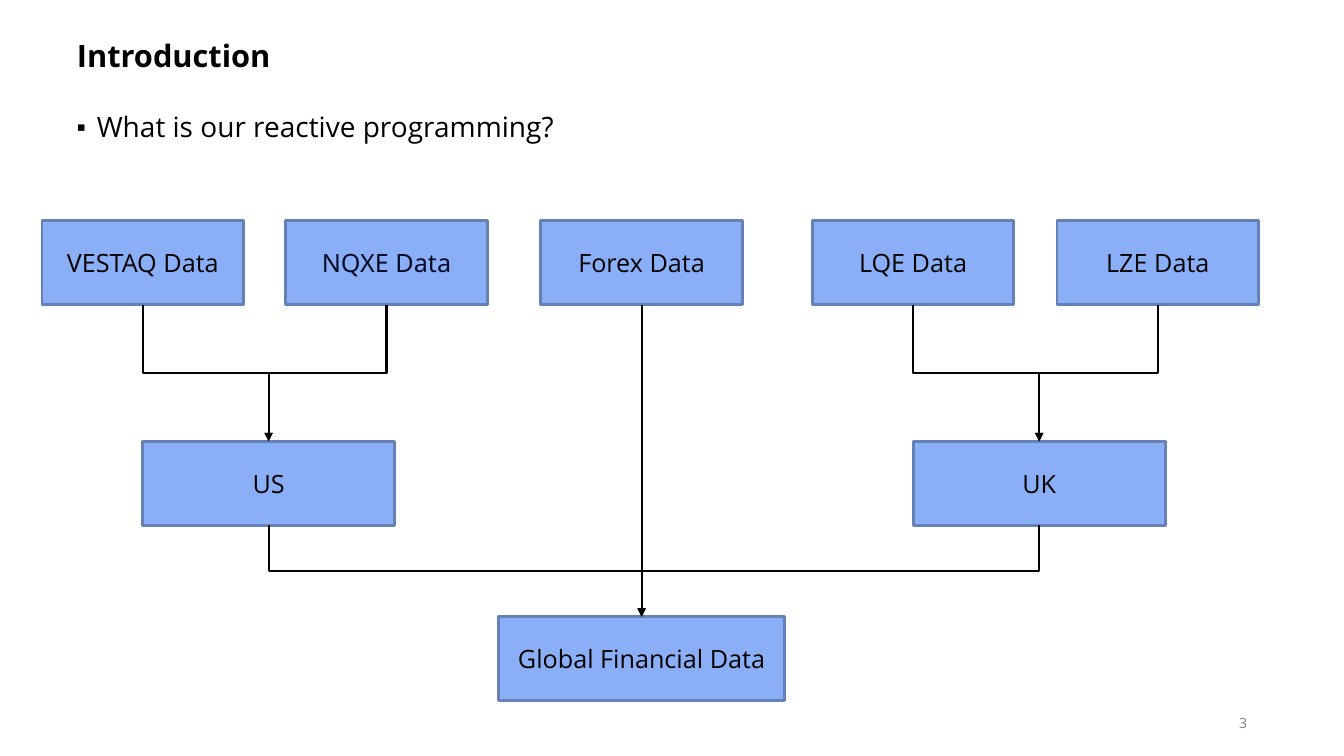
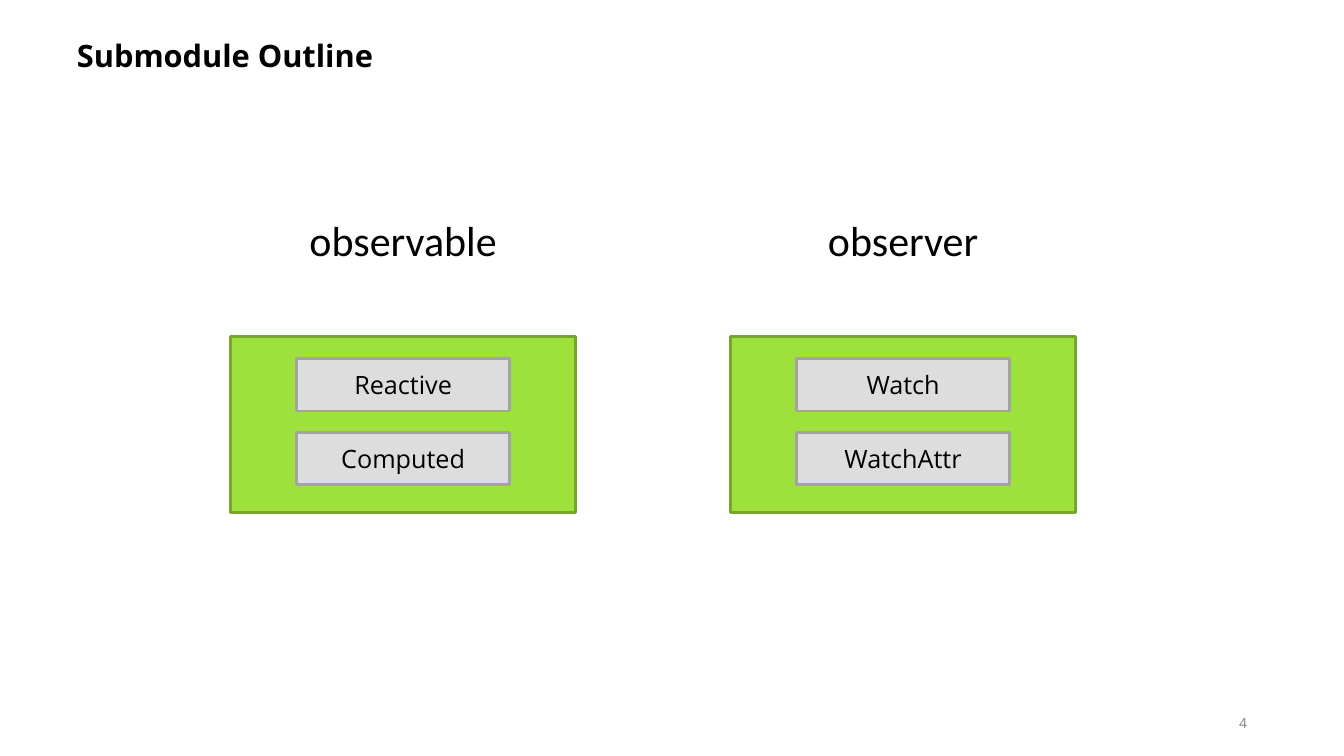
"""Build two slides: a data flow diagram and a submodule outline."""
import pptx
import pptx.util
import pptx.dml.color
import pptx.enum.shapes
import pptx.enum.text
import pptx.oxml.ns
import pptx.oxml.xmlchemy

Cm, Pt = pptx.util.Cm, pptx.util.Pt
SHAPE = pptx.enum.shapes.MSO_SHAPE
CONNECTOR = pptx.enum.shapes.MSO_CONNECTOR
ALIGN = pptx.enum.text.PP_ALIGN
ANCHOR = pptx.enum.text.MSO_ANCHOR
qn = pptx.oxml.ns.qn

COLORS = {
    "black": "000000", "gray": "808080", "navy": "040C28",
    "blue": "8AAFF6", "blue_line": "6681B6",
    "green": "9FE13C", "green_line": "76A62C",
    "silver": "DDDDDD", "silver_line": "A3A3A3",
}
TEXT = {"name": "Open Sans", "size": 18, "bold": False, "color": "black"}
STYLES = {
    "title": {**TEXT, "size": 22, "bold": True},
    "number": {**TEXT, "size": 10, "color": "gray"},
    "bullet": {**TEXT, "size": 20},
    "box": TEXT,
    "quoted": {**TEXT, "name": "Noto Sans", "color": "navy"},
    "label": {**TEXT, "name": "Calibri", "size": 30},
}

FLOW_TITLE = "Introduction"
FLOW_BULLET = "What is our reactive programming?"
BOX_H = 2.12
ROWS = [
    {"top": 5.56, "width": 5.08, "boxes": [
        ("VESTAQ Data", 3.6, "box"), ("NQXE Data", 9.74, "quoted"),
        ("Forex Data", 16.17, "box"), ("LQE Data", 23.01, "box"),
        ("LZE Data", 29.18, "box")]},
    {"top": 11.12, "width": 6.35, "boxes": [
        ("US", 6.77, "box"), ("UK", 26.19, "box")]},
    {"top": 15.54, "width": 7.2, "boxes": [
        ("Global Financial Data", 16.17, "box")]},
]
LINKS = [
    ("VESTAQ Data", "US"), ("NQXE Data", "US"),
    ("LQE Data", "UK"), ("LZE Data", "UK"),
    ("US", "Global Financial Data"), ("UK", "Global Financial Data"),
    ("Forex Data", "Global Financial Data"),
]

OUTLINE_TITLE = "Submodule Outline"
GROUPS = [
    ("observable", 10.16, ["Reactive", "Computed"]),
    ("observer", 22.76, ["Watch", "WatchAttr"]),
]
ITEM_TOP, ITEM_PITCH = 9.04, 1.86


def rgb(name):
    return pptx.dml.color.RGBColor.from_string(COLORS[name])


def add_element(parent, tag, **attributes):
    element = pptx.oxml.xmlchemy.OxmlElement(tag)
    for key, value in attributes.items():
        element.set(key, value)
    parent.append(element)


def write(sp, text, style, align=ALIGN.CENTER, anchor=ANCHOR.MIDDLE, wrap=True):
    tf = sp.text_frame
    tf.word_wrap, tf.vertical_anchor = wrap, anchor
    p = tf.paragraphs[0]
    p.alignment = align
    r = p.add_run()
    r.text = text
    style = STYLES[style]
    values = {**style, "size": Pt(style["size"])}
    r.font.color.rgb = rgb(values.pop("color"))
    for key, value in values.items():
        setattr(r.font, key, value)
    return p


def add_text(s, at, text, style, **layout):
    sp = s.shapes.add_textbox(*map(Cm, at))
    return write(sp, text, style, **layout)


def add_box(s, center, top, width, height, color, text="", style="box"):
    sp = s.shapes.add_shape(
        SHAPE.RECTANGLE, *map(Cm, (center - width / 2, top, width, height)))
    sp.shadow.inherit = False
    sp.fill.solid()
    sp.fill.fore_color.rgb = rgb(color)
    sp.line.color.rgb = rgb(color + "_line")
    sp.line.width = Pt(2)
    if text:
        write(sp, text, style)
    return sp


def add_bullet(s, text):
    p = add_text(s, (1.69, 2.54, 30.48, 14.6), text, "bullet",
                 align=ALIGN.LEFT, anchor=ANCHOR.TOP)
    spacing = {"line_spacing": 1.1, "space_before": Pt(6), "space_after": Pt(3)}
    for key, value in spacing.items():
        setattr(p, key, value)
    pPr = p._p.get_or_add_pPr()
    pPr.set("marL", str(Cm(0.5)))
    pPr.set("indent", str(-Cm(0.5)))
    add_element(pPr, "a:buSzPct", val="80000")
    add_element(pPr, "a:buFont", typeface="Open Sans")
    add_element(pPr, "a:buChar", char="▪")


def add_arrow(s, source, target):
    x1, y1 = source.left + source.width // 2, source.top + source.height
    x2, y2 = target.left + target.width // 2, target.top
    dx, dy = x2 - x1, y2 - y1
    straight = abs(dx) < Cm(0.01)
    kind = CONNECTOR.STRAIGHT if straight else CONNECTOR.ELBOW
    c = s.shapes.add_connector(kind, x1, y1, x2, y2)
    c.begin_connect(source, 2)
    c.end_connect(target, 0)
    spPr = c._element.spPr
    if not straight:
        c.width, c.height = dy, abs(dx)
        c.left = (x1 + x2 - dy) // 2
        c.top = (y1 + y2 - abs(dx)) // 2
        xfrm = spPr.find(qn("a:xfrm"))
        xfrm.set("rot", "16200000" if dx > 0 else "5400000")
        xfrm.set("flipH", "1" if dx > 0 else "0")
    c.line.color.rgb = rgb("black")
    c.line.width = Pt(1.5)
    add_element(spPr.find(qn("a:ln")), "a:tailEnd", type="triangle")
    add_element(spPr, "a:effectLst")


def add_slide(prs, title, number):
    s = prs.slides.add_slide(prs.slide_layouts[6])
    add_text(s, (1.69, 0.64, 30.48, 1.48), title, "title", align=ALIGN.LEFT)
    add_text(s, (30.48, 17.6, 1.69, 1.22), str(number), "number")
    return s


def build_flow(prs):
    s = add_slide(prs, FLOW_TITLE, 3)
    add_bullet(s, FLOW_BULLET)
    boxes = {}
    for row in ROWS:
        for text, center, style in row["boxes"]:
            boxes[text] = add_box(s, center, row["top"], row["width"], BOX_H,
                                  "blue", text, style)
    for source, target in LINKS:
        add_arrow(s, boxes[source], boxes[target])


def build_outline(prs):
    s = add_slide(prs, OUTLINE_TITLE, 4)
    for label, center, items in GROUPS:
        add_text(s, (center - 2.64, 5.28, 5.28, 1.55), label, "label",
                 anchor=ANCHOR.TOP, wrap=False)
        add_box(s, center, 8.47, 8.68, 4.45, "green")
        for i, item in enumerate(items):
            add_box(s, center, ITEM_TOP + i * ITEM_PITCH, 5.36, 1.32,
                    "silver", item)


def main():
    prs = pptx.Presentation()
    prs.slide_width, prs.slide_height = Cm(33.87), Cm(19.05)
    build_flow(prs)
    build_outline(prs)
    prs.save("out.pptx")


if __name__ == "__main__":
    main()
